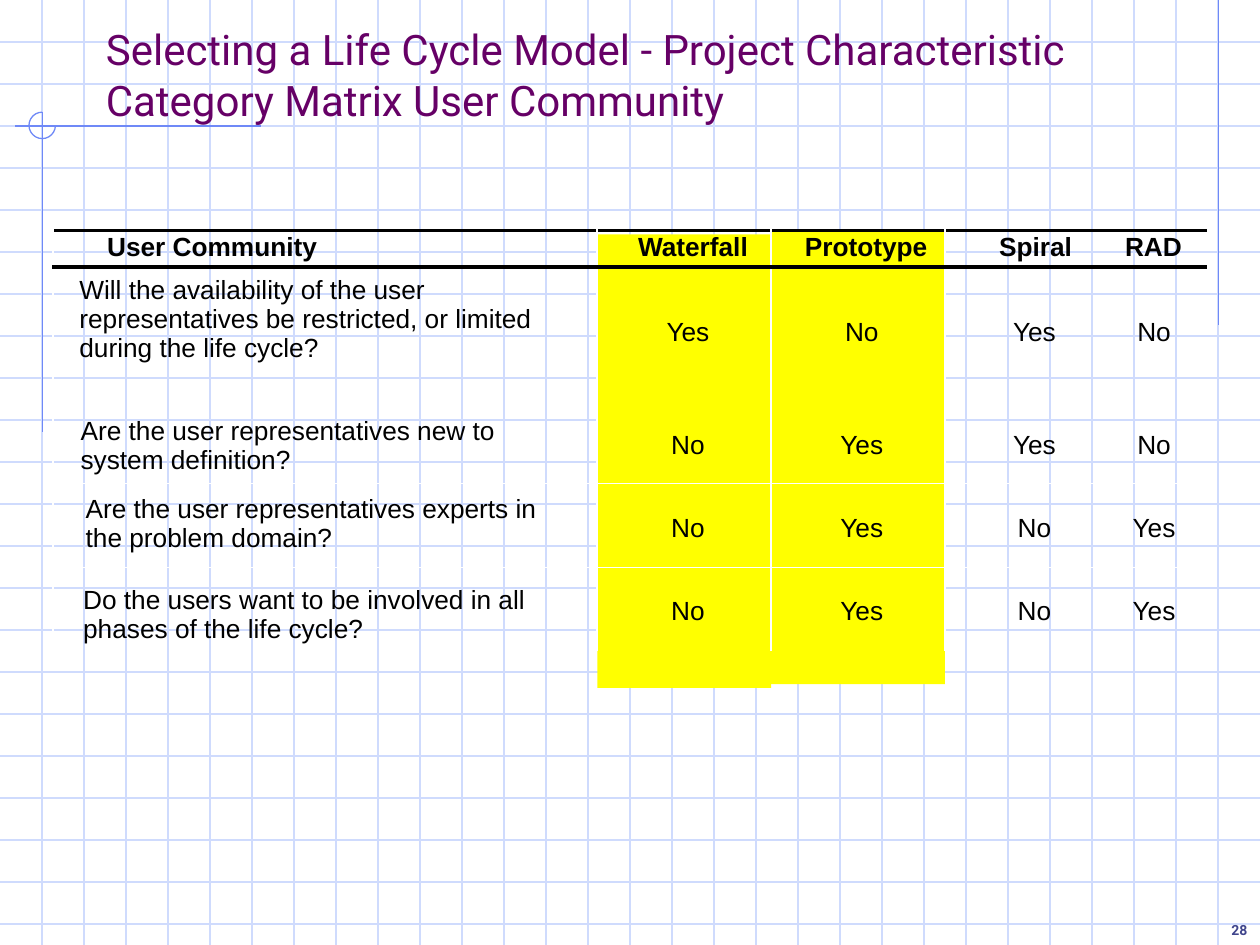
from lxml import etree
from pptx import Presentation
from pptx.dml.color import RGBColor
from pptx.enum import shapes, text
from pptx.oxml import ns
from pptx.util import Inches, Pt

WIDTH, HEIGHT = 10, 7.5
BLACK, WHITE, YELLOW, GRID, BLUE = "000000", "FFFFFF", "FFFF00", "CFDBFD", "6F89F7"


def colour(value):
    return RGBColor.from_string(value)


def add_line(page, x1, y1, x2, y2, value):
    line = page.shapes.add_connector(
        shapes.MSO_CONNECTOR.STRAIGHT, Inches(x1), Inches(y1), Inches(x2), Inches(y2))
    line.line.color.rgb = colour(value)
    line.line.width = Pt(0.75)
    etree.SubElement(line._element.spPr, ns.qn("a:effectLst"))


deck = Presentation()
deck.slide_width, deck.slide_height = Inches(WIDTH), Inches(HEIGHT)
page = deck.slides.add_slide(deck.slide_layouts[5])

# Graph-paper background, three squares to the inch
for step in range(1, 23):
    add_line(page, 0, step / 3, WIDTH, step / 3, GRID)
for step in range(1, 30):
    add_line(page, step / 3, 0, step / 3, HEIGHT, GRID)

# Blue corner ornaments
for ends in [(9.67, 0, 9.67, 2.58), (2.07, 1, 0.12, 1), (0.34, 0.89, 0.34, 3.43)]:
    add_line(page, *ends, BLUE)
arc = page.shapes.add_shape(
    shapes.MSO_SHAPE.ARC, Inches(0.23), Inches(0.89), Inches(0.21), Inches(0.21))
arc.adjustments[0], arc.adjustments[1] = 0, 162  # three quarters of a circle
arc.shadow.inherit = False
arc.fill.background()
arc.line.color.rgb = colour(BLUE)
arc.line.width = Pt(0.75)

# Yellow bands behind the two highlighted columns
for left, top in [(4.74, 1.86), (6.12, 1.83)]:
    band = page.shapes.add_shape(
        shapes.MSO_SHAPE.RECTANGLE, Inches(left), Inches(top), Inches(1.38), Inches(3.6))
    band.shadow.inherit = False
    band.fill.solid()
    band.fill.fore_color.rgb = colour(YELLOW)
    band.line.fill.background()

# Matrix: each row has its label's left and top, its answers' top, and its cells
rows = [
    (0.85, 1.85, 1.85, ["User Community", "Waterfall", "Prototype", "Spiral", "RAD"]),
    (0.63, 2.19, 2.52, ["Will the availability of the user representatives be restricted, "
                        "or limited during the life cycle?", "Yes", "No", "Yes", "No"]),
    (0.64, 3.31, 3.42, ["Are the user representatives new to system definition?",
                        "No", "Yes", "Yes", "No"]),
    (0.68, 3.93, 4.08, ["Are the user representatives experts in the problem domain?",
                        "No", "Yes", "No", "Yes"]),
    (0.66, 4.65, 4.74, ["Do the users want to be involved in all phases of the life cycle?",
                        "No", "Yes", "No", "Yes"]),
]
x_edges = [0.42, 4.74, 6.12, 7.5, 8.72, 9.58]
y_edges = [1.83, 2.12, 3.18, 3.84, 4.5, 5.17]
header_indents = [0, 0.14, 0.13, 0.22, 0.01]
answer_indents = [0, 0.06, 0.06, 0.2, 0.02]

frame = page.shapes.add_table(
    len(rows), 5, Inches(x_edges[0]), Inches(y_edges[0]),
    Inches(x_edges[-1] - x_edges[0]), Inches(y_edges[-1] - y_edges[0]))
table = frame.table
table.first_row = table.horz_banding = False
for index, column in enumerate(table.columns):
    column.width = Inches(x_edges[index + 1] - x_edges[index])
for index, row in enumerate(table.rows):
    row.height = Inches(y_edges[index + 1] - y_edges[index])

row_rules = {0: (BLACK, 1.75), 1: (BLACK, 2.25), 3: (WHITE, 0.5), 4: (WHITE, 0.5)}
column_rules = {edge: (WHITE, 1) for edge in range(4)}
for r, (label_left, label_top, answer_top, words) in enumerate(rows):
    indents = answer_indents if r else header_indents
    for c, word in enumerate(words):
        cell = table.cell(r, c)
        cell_format = {
            "margin_left": Inches(indents[c] if c else label_left - x_edges[0]),
            "margin_top": Inches((answer_top if c else label_top) - y_edges[r]),
            "margin_right": 0 if c else Inches(0.19),
            "margin_bottom": 0,
            "vertical_anchor": text.MSO_ANCHOR.TOP,
        }
        for name, value in cell_format.items():
            setattr(cell, name, value)
        para = cell.text_frame.paragraphs[0]
        para.alignment = text.PP_ALIGN.CENTER if c else text.PP_ALIGN.LEFT
        span = para.add_run()
        span.text = word
        for name, value in {"name": "Arial", "size": Pt(15), "bold": r == 0}.items():
            setattr(span.font, name, value)
        span.font.color.rgb = colour(BLACK)

        # Borders, then no fill so that the bands and grid show through
        properties = cell._tc.get_or_add_tcPr()
        sides = {"L": column_rules.get(c), "R": column_rules.get(c + 1),
                 "T": row_rules.get(r), "B": row_rules.get(r + 1)}
        for side, rule in sides.items():
            border = etree.SubElement(properties, ns.qn(f"a:ln{side}"))
            if rule:
                border.set("w", str(Pt(rule[1])))
                fill = etree.SubElement(border, ns.qn("a:solidFill"))
                etree.SubElement(fill, ns.qn("a:srgbClr")).set("val", rule[0])
            else:
                etree.SubElement(border, ns.qn("a:noFill"))
        cell.fill.background()

# Title, brought in front of the grid, and page number
title = page.shapes.title
page.shapes._spTree.append(title._element)
number = page.shapes.add_textbox(0, 0, 0, 0)
for box, place, words, align, size, bold, value in [
    (title, (0.74, 0.2, 8.5, 0.84),
     "Selecting a Life Cycle Model - Project Characteristic Category Matrix User Community",
     text.PP_ALIGN.LEFT, 24, False, "660066"),
    (number, (9.53, 7.2, 0.47, 0.3), "28", text.PP_ALIGN.RIGHT, 8, True, "40458C"),
]:
    box.left, box.top, box.width, box.height = map(Inches, place)
    body = box.text_frame
    body.word_wrap = True
    body.auto_size = text.MSO_AUTO_SIZE.NONE
    body.vertical_anchor = text.MSO_ANCHOR.BOTTOM
    para = body.paragraphs[0]
    para.alignment = align
    span = para.add_run()
    span.text = words
    for name, setting in {"name": "Roboto", "size": Pt(size), "bold": bold}.items():
        setattr(span.font, name, setting)
    span.font.color.rgb = colour(value)

deck.save("out.pptx")
